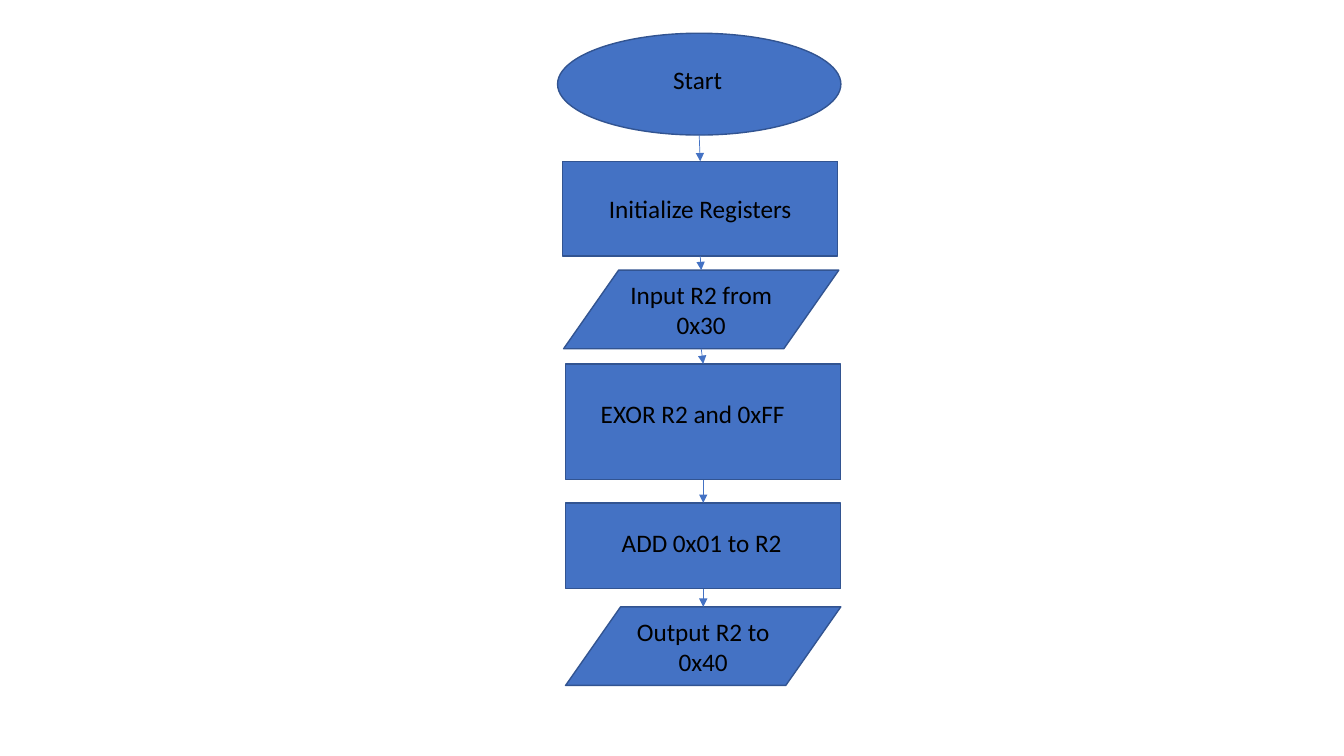
import pptx
import pptx.util
import pptx.dml.color
import pptx.enum.shapes
import pptx.enum.text
import lxml.etree
import pptx.oxml.ns

Inches = pptx.util.Inches
Kind = pptx.enum.shapes.MSO_SHAPE
Align = pptx.enum.text.PP_ALIGN
Anchor = pptx.enum.text.MSO_ANCHOR


def color(code):
    return pptx.dml.color.RGBColor.from_string(code)


def write(frame, text, size=18, font="Calibri", ink="000000", align=Align.CENTER, anchor=Anchor.MIDDLE):
    frame.word_wrap = True
    frame.vertical_anchor = anchor
    line = frame.paragraphs[0]
    line.alignment = align
    run = line.add_run()
    run.text = text
    run.font.size = pptx.util.Pt(size)
    run.font.name = font
    run.font.color.rgb = color(ink)


class Chart:
    """Draws flowchart steps, labels and arrows on one slide in a shared style."""

    fill = "4472C4"
    edge = "325491"

    def __init__(self, slide):
        self.shapes = slide.shapes

    def step(self, kind, left, top, width, height, text=None):
        step = self.shapes.add_shape(kind, Inches(left), Inches(top), Inches(width), Inches(height))
        step.shadow.inherit = False
        step.fill.solid()
        step.fill.fore_color.rgb = color(self.fill)
        step.line.color.rgb = color(self.edge)
        step.line.width = pptx.util.Pt(1)
        if text:
            write(step.text_frame, text)
        return step

    def label(self, text, left, top, width, **style):
        box = self.shapes.add_textbox(Inches(left), Inches(top), Inches(width), Inches(0.4))
        write(box.text_frame, text, anchor=Anchor.TOP, **style)

    def arrow(self, start, end):
        ends = [start.left + start.width // 2, start.top + start.height,
                end.left + end.width // 2, end.top]
        arrow = self.shapes.add_connector(pptx.enum.shapes.MSO_CONNECTOR.STRAIGHT, *ends)
        if start.auto_shape_type == Kind.RECTANGLE:
            arrow.begin_connect(start, 2)
        if end.auto_shape_type == Kind.RECTANGLE:
            arrow.end_connect(end, 0)
        arrow.line.color.rgb = color(self.fill)
        arrow.line.width = pptx.util.Pt(0.5)
        tag = pptx.oxml.ns.qn
        lxml.etree.SubElement(arrow.line._get_or_add_ln(), tag("a:tailEnd"), type="triangle")
        lxml.etree.SubElement(arrow._element.spPr, tag("a:effectLst"))


def main():
    deck = pptx.Presentation()
    deck.slide_width = Inches(13.33)
    deck.slide_height = Inches(7.5)
    chart = Chart(deck.slides.add_slide(deck.slide_layouts[6]))

    wide = 2.73
    steps = [
        chart.step(Kind.OVAL, 5.53, 0.33, 2.81, 1.01),
        chart.step(Kind.RECTANGLE, 5.58, 1.6, wide, 0.94, "Initialize Registers"),
        chart.step(Kind.FLOWCHART_DATA, 5.59, 2.68, wide, 0.78, "Input R2 from 0x30"),
        chart.step(Kind.RECTANGLE, 5.61, 3.61, wide, 1.15),
        chart.step(Kind.RECTANGLE, 5.61, 4.99, wide, 0.85),
        chart.step(Kind.FLOWCHART_DATA, 5.61, 6.02, wide, 0.78, "Output R2 to 0x40"),
    ]
    chart.label("Start", 6.16, 0.59, 1.52)
    chart.label("EXOR R2 and 0xFF", 5.86, 3.9, 2.11, align=Align.LEFT)
    chart.label("ADD 0x01 to R2", 5.73, 5.18, 2.46)
    for start, end in zip(steps, steps[1:]):
        chart.arrow(start, end)
    deck.save("out.pptx")


if __name__ == "__main__":
    main()
